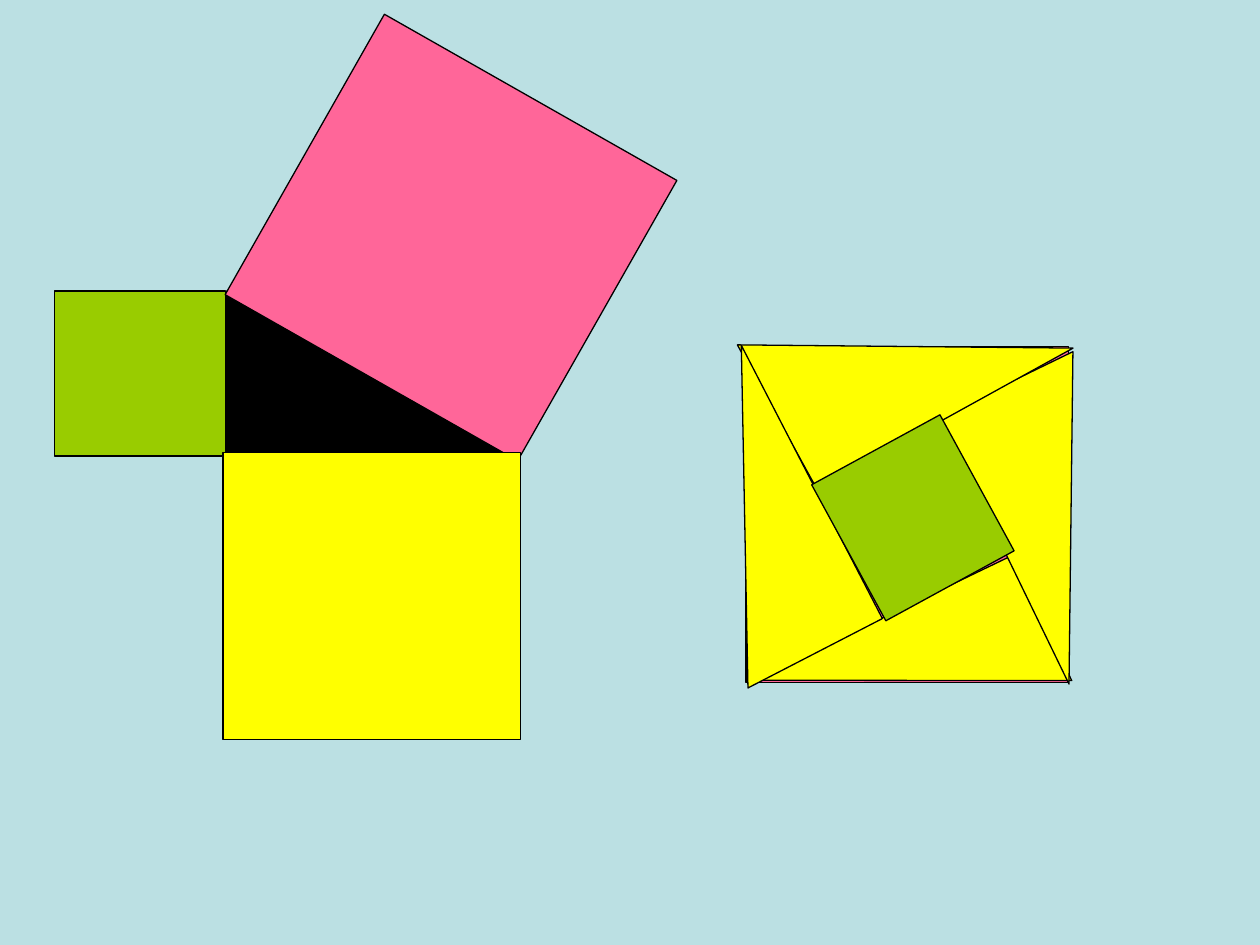
from dataclasses import dataclass

from pptx import Presentation
from pptx.dml.color import RGBColor
from pptx.enum.shapes import MSO_SHAPE
from pptx.util import Inches, Pt

RECT = MSO_SHAPE.RECTANGLE
TRI = MSO_SHAPE.RIGHT_TRIANGLE


@dataclass(frozen=True)
class Theme:
    """Colours and line width of the slide."""
    back: str = "BBE0E3"
    black: str = "000000"
    green: str = "99CC00"
    pink: str = "FF6699"
    yellow: str = "FFFF00"
    line: float = 0.74


THEME = Theme()

# kind, colour, (left, top, width, height), turn, flipped
PROOF = [
    (TRI, THEME.black, (1.8, 2.31, 2.31, 1.31), 0, False),
    (RECT, THEME.green, (0.43, 2.31, 1.36, 1.31), 180, False),
    (RECT, THEME.pink, (2.3, 0.55, 2.56, 2.67), 299.6, False),
    (RECT, THEME.yellow, (1.77, 3.59, 2.36, 2.28), 0, False),
]
PUZZLE = [
    (RECT, THEME.pink, (5.92, 2.75, 2.56, 2.67), 0, False),
    (TRI, THEME.yellow, (6.1, 4.85, 2.28, 1.1), 154.3, False),
    (TRI, THEME.yellow, (7.32, 3.52, 2.36, 1.18), 64.1, False),
    (TRI, THEME.yellow, (6.53, 1.59, 1.31, 2.32), 61.1, True),
    (TRI, THEME.yellow, (4.69, 3.5, 2.44, 1.2), 242.7, False),
    (RECT, THEME.green, (6.63, 3.53, 1.23, 1.16), 61.4, False),
]


def paint(fill, tint):
    """Give a fill one solid colour."""
    fill.solid()
    fill.fore_color.rgb = RGBColor.from_string(tint)


def add_piece(slide, kind, tint, box, turn, flip):
    """Add one outlined piece, turned about its centre."""
    piece = slide.shapes.add_shape(kind, *map(Inches, box))
    piece.shadow.inherit = False
    piece.rotation = turn
    paint(piece.fill, tint)
    paint(piece.line.fill, THEME.black)
    piece.line.width = Pt(THEME.line)
    if flip:
        piece.element.spPr.xfrm.set("flipH", "1")


def main():
    """Build and save the slide."""
    deck = Presentation()
    deck.slide_width, deck.slide_height = Inches(10), Inches(7.5)
    slide = deck.slides.add_slide(deck.slide_layouts[6])
    paint(slide.background.fill, THEME.back)
    for piece in PROOF + PUZZLE:
        add_piece(slide, *piece)
    deck.save("out.pptx")


main()
